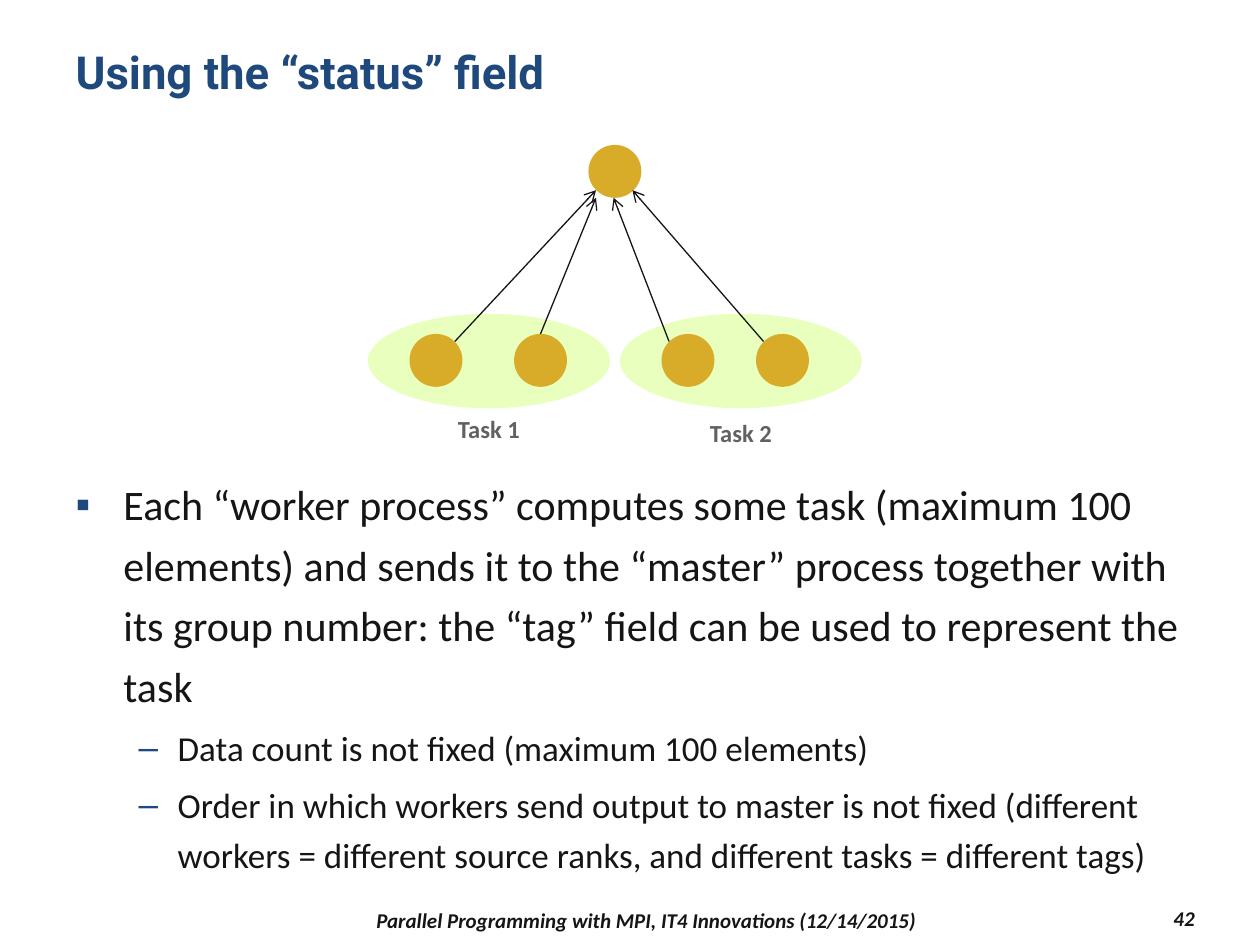
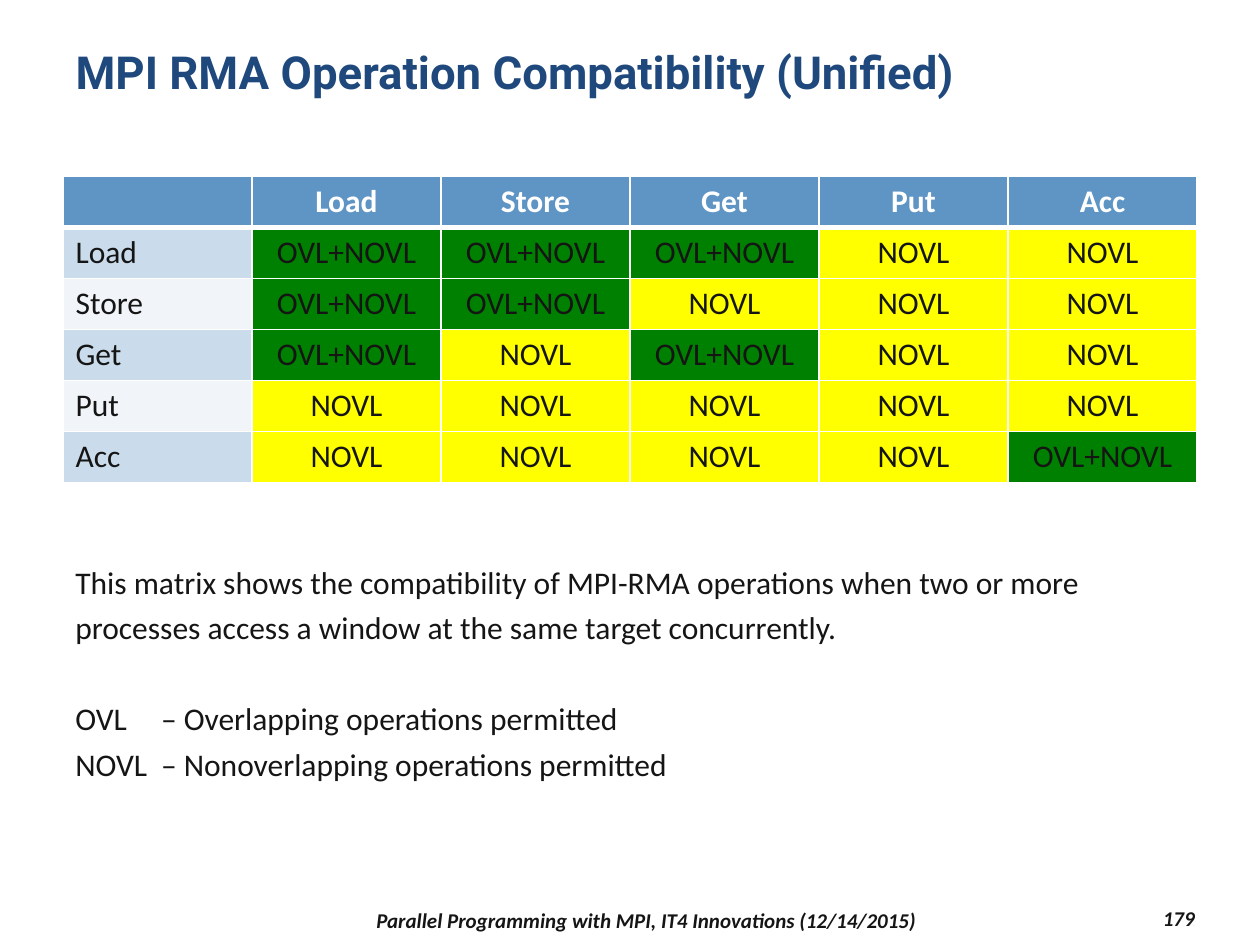
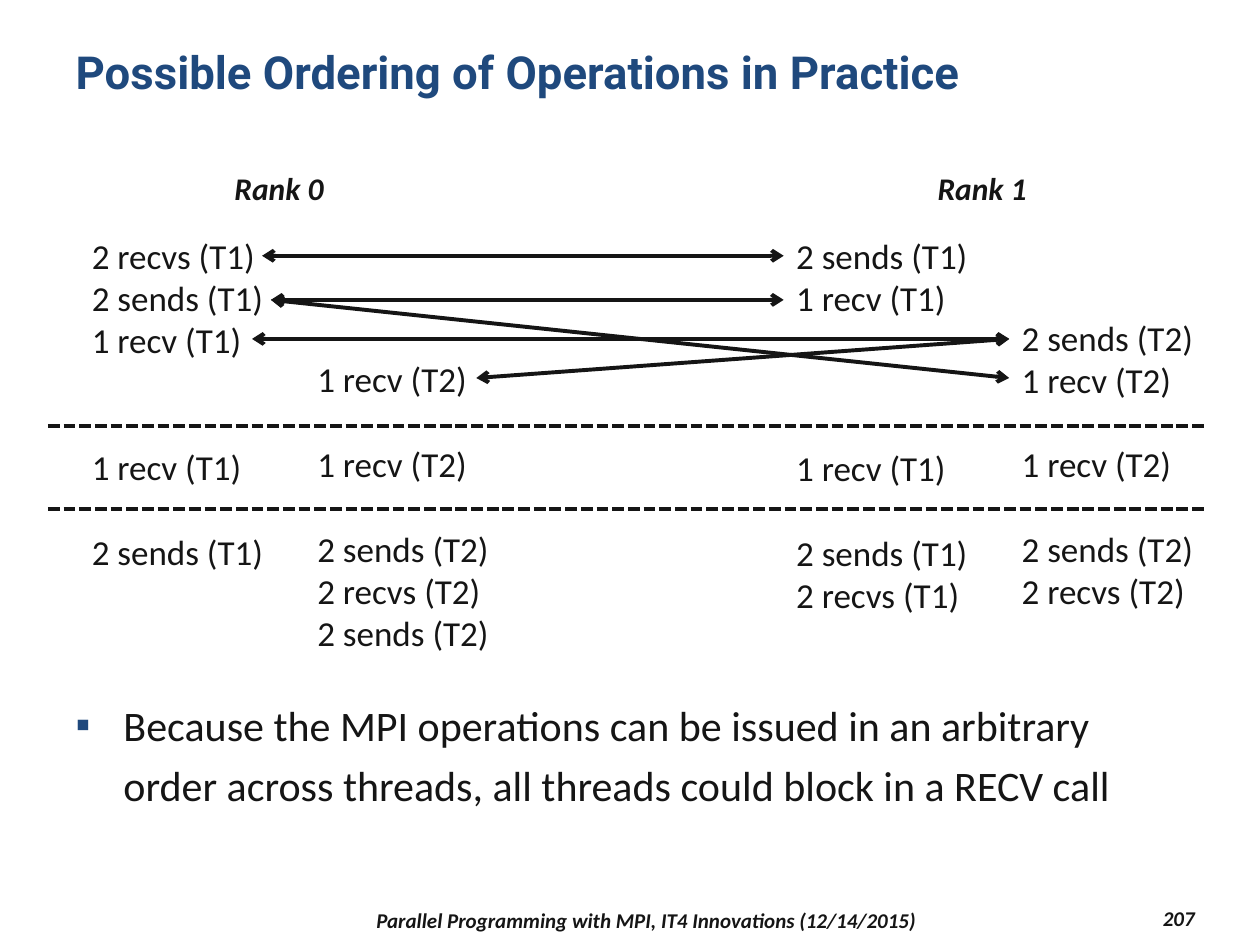
from lxml.etree import SubElement as Sub
from pptx import Presentation
from pptx.dml.color import RGBColor
from pptx.enum.dml import MSO_LINE as Dash
from pptx.enum.shapes import MSO_CONNECTOR as Conn, MSO_SHAPE as Geo
from pptx.enum.text import MSO_ANCHOR as Anchor, MSO_AUTO_SIZE as Auto, PP_ALIGN as Align
from pptx.oxml.ns import qn
from pptx.util import Inches, Pt

INK, NAVY, GRAY, WHITE = "151515", "1F497D", "616161", "FFFFFF"
GOLD, LIME = "D8AC28", "E9FFBE"
BLUE, PALE, MIST = "5F95C4", "CADCEB", "F1F5F9"
GREEN, YELLOW = "008000", "FFFF00"

HEAD = {"name": "Roboto", "size": Pt(26), "bold": True, "italic": False}
BASE = {"name": "Calibri", "size": Pt(18), "bold": False, "italic": False}
TAG = BASE | {"size": Pt(14), "bold": True}
RANK = BASE | {"bold": True, "italic": True}
FOOT = RANK | {"size": Pt(12)}
STEP = BASE | {"size": Pt(20)}
LEVELS = [
    {"size": 24, "left": 0.38, "hang": 0.38, "mark": "▪"},
    {"size": 20, "left": 0.81, "hang": 0.31, "mark": "–"},
]
NOTE = "Parallel Programming with MPI, IT4 Innovations (12/14/2015)"
OPS = ["Load", "Store", "Get", "Put", "Acc"]
OVERLAP = {
    ("Load", "Load"), ("Load", "Store"), ("Load", "Get"),
    ("Store", "Load"), ("Store", "Store"),
    ("Get", "Load"), ("Get", "Get"), ("Acc", "Acc"),
}


def rgb(code):
    return RGBColor.from_string(code)


def span(*vals):
    return [Inches(v) for v in vals]


def write(para, text, form, color=INK, align=Align.LEFT):
    para.alignment = align
    run = para.add_run()
    run.text = text
    for key, val in form.items():
        setattr(run.font, key, val)
    run.font.color.rgb = rgb(color)


def lines(frame, count):
    for num in range(count):
        yield frame.paragraphs[0] if num == 0 else frame.add_paragraph()


def area(slide, box, wrap=True, anchor=Anchor.TOP):
    frame = slide.shapes.add_textbox(*span(*box)).text_frame
    frame.word_wrap = wrap
    frame.vertical_anchor = anchor
    return frame


def label(slide, box, text, form, color=INK, align=Align.CENTER, anchor=Anchor.TOP):
    write(area(slide, box, anchor=anchor).paragraphs[0], text, form, color, align)


def place(shape, box):
    shape.left, shape.top, shape.width, shape.height = span(*box)
    frame = shape.text_frame
    frame.word_wrap = True
    frame.auto_size = Auto.NONE
    frame.vertical_anchor = Anchor.TOP
    return frame


def start(deck, layout, title, page):
    slide = deck.slides.add_slide(deck.slide_layouts[layout])
    frame = place(slide.shapes.title, (0.5, 0.3, 9, 0.87))
    write(frame.paragraphs[0], title, HEAD, NAVY)
    label(slide, (2.17, 7.17, 5.92, 0.27), NOTE, FOOT, anchor=Anchor.MIDDLE)
    label(slide, (8.5, 7.15, 1.08, 0.27), page, FOOT, align=Align.RIGHT, anchor=Anchor.MIDDLE)
    return slide


def points(slide, box, items):
    frame = place(slide.placeholders[1], box)
    for num, (para, (level, text)) in enumerate(zip(lines(frame, len(items)), items)):
        look = LEVELS[level]
        para.level = level
        para.line_spacing = 1.2
        para.space_before = Pt(look["size"] * 0.2 if num else 0)
        props = para._p.get_or_add_pPr()
        props.set("marL", str(Inches(look["left"])))
        props.set("indent", str(-Inches(look["hang"])))
        Sub(Sub(props, qn("a:buClr")), qn("a:srgbClr"), val=NAVY)
        Sub(props, qn("a:buFont"), typeface="Arial")
        Sub(props, qn("a:buChar"), char=look["mark"])
        write(para, text, BASE | {"size": Pt(look["size"])})


def oval(slide, box, color):
    shape = slide.shapes.add_shape(Geo.OVAL, *span(*box))
    shape.shadow.inherit = False
    shape.fill.solid()
    shape.fill.fore_color.rgb = rgb(color)
    shape.line.fill.background()


def link(slide, ends, width, tips=(), dash=None):
    wire = slide.shapes.add_connector(Conn.STRAIGHT, *span(*ends))
    wire.line.color.rgb = rgb(INK)
    wire.line.width = Pt(width)
    if dash:
        wire.line.dash_style = dash
    for tip in tips:
        Sub(wire.line._get_or_add_ln(), qn(f"a:{tip}End"), type="arrow")
    Sub(wire._element.spPr, qn("a:effectLst"))


def tree(slide, left, top):
    for num, drop in enumerate((2.09, 2.12)):
        side = left + 2 * num
        oval(slide, (side, top + 1.34, 1.92, 0.75), LIME)
        label(slide, (side + 0.25, top + drop, 1.42, 0.34), f"Task {num + 1}", TAG, GRAY)
    dots = [(1.75, 0), (0.33, 1.5), (1.16, 1.5), (2.33, 1.5), (3.08, 1.5)]
    for x, y in dots:
        oval(slide, (left + x, top + y, 0.42, 0.42), GOLD)
    arrows = [
        (0.69, 1.56, 1.81, 0.36), (1.37, 1.5, 1.81, 0.42),
        (2.39, 1.56, 1.95, 0.42), (3.14, 1.56, 2.1, 0.36),
    ]
    for x, y, end, tip in arrows:
        link(slide, (left + x, top + y, left + end, top + tip), 0.75, ["tail"])


def paint(cell, text, fill, above, below, form=BASE, color=INK, align=Align.CENTER):
    props = cell._tc.get_or_add_tcPr()
    for side, width in {"L": 1, "R": 1, "T": above, "B": below}.items():
        edge = Sub(props, qn(f"a:ln{side}"), w=str(Pt(width)))
        Sub(Sub(edge, qn("a:solidFill")), qn("a:srgbClr"), val=WHITE)
    cell.fill.solid()
    cell.fill.fore_color.rgb = rgb(fill)
    if text:
        write(cell.text_frame.paragraphs[0], text, form, color, align)


def matrix(slide, box):
    size = len(OPS) + 1
    grid = slide.shapes.add_table(size, size, *span(*box)).table
    grid.first_row = grid.horz_banding = False
    for col, name in enumerate([""] + OPS):
        paint(grid.cell(0, col), name, BLUE, 1, 3, BASE | {"bold": True}, WHITE)
    for row, name in enumerate(OPS, 1):
        above = 3 if row == 1 else 1
        paint(grid.cell(row, 0), name, PALE if row % 2 else MIST, above, 1, align=Align.LEFT)
        for col, other in enumerate(OPS, 1):
            both = (name, other) in OVERLAP
            text, fill = ("OVL+NOVL", GREEN) if both else ("NOVL", YELLOW)
            paint(grid.cell(row, col), text, fill, above, 1)


def legend(slide, box):
    items = [
        ("This matrix shows the compatibility of MPI-RMA operations when two or more "
         "processes access a window at the same target concurrently.", 0),
        ("OVL\t– Overlapping operations permitted", 26),
        ("NOVL\t– Nonoverlapping operations permitted", 0),
    ]
    frame = area(slide, box)
    for para, (text, gap) in zip(lines(frame, len(items)), items):
        para.line_spacing = 1.2
        para.space_before = Pt(gap)
        if "\t" in text:
            tabs = Sub(para._p.get_or_add_pPr(), qn("a:tabLst"))
            Sub(tabs, qn("a:tab"), pos=str(Inches(0.68)), algn="l")
        write(para, text, BASE)


def steps(slide, box, thread, items):
    frame = area(slide, box, wrap=False)
    frame.auto_size = Auto.SHAPE_TO_FIT_TEXT
    for para, (text, skip) in zip(lines(frame, len(items)), items):
        para.space_before = Pt(24.4 * skip)
        write(para, f"{text} ({thread})", STEP)


def order(slide, left, top):
    for num, x in enumerate((0.92, 6.5)):
        label(slide, (left + x, top, 1.83, 0.4), f"Rank {num}", RANK)
    lists = [
        (0.25, 0.52, 2.79, "T1", [("2 recvs", 0), ("2 sends", 0), ("1 recv", 0),
                                  ("1 recv", 2), ("2 sends", 1)]),
        (2.04, 1.5, 2.46, "T2", [("1 recv", 0), ("1 recv", 1), ("2 sends", 1),
                                 ("2 recvs", 0), ("2 sends", 0)]),
        (5.84, 0.52, 3.13, "T1", [("2 sends", 0), ("1 recv", 0), ("1 recv", 3),
                                  ("2 sends", 1), ("2 recvs", 0)]),
        (7.63, 1.17, 2.46, "T2", [("2 sends", 0), ("1 recv", 0), ("1 recv", 1),
                                  ("2 sends", 1), ("2 recvs", 0)]),
    ]
    for x, y, high, thread, items in lists:
        steps(slide, (left + x, top + y, 1.58, high), thread, items)
    for y in (2.09, 2.75):
        link(slide, (left, top + y, left + 9.2, top + y), 2.25, dash=Dash.SQUARE_DOT)
    pairs = [
        (1.7, 0.74, 5.84, 0.74), (1.77, 1.09, 7.63, 1.71), (1.77, 1.09, 5.84, 1.09),
        (1.62, 1.4, 7.63, 1.4), (3.4, 1.71, 7.63, 1.4),
    ]
    for x, y, end, tip in pairs:
        link(slide, (left + x, top + y, left + end, top + tip), 2.25, ["head", "tail"])


def main():
    deck = Presentation()
    deck.slide_width, deck.slide_height = span(10, 7.5)

    slide = start(deck, 1, "Using the “status” field", "42")
    tree(slide, 2.92, 1.15)
    points(slide, (0.5, 3.67, 9, 3.25), [
        (0, "Each “worker process” computes some task (maximum 100 elements) and sends it "
            "to the “master” process together with its group number: the “tag” field can "
            "be used to represent the task"),
        (1, "Data count is not fixed (maximum 100 elements)"),
        (1, "Order in which workers send output to master is not fixed (different workers "
            "= different source ranks, and different tasks = different tags)"),
    ])

    slide = start(deck, 5, "MPI RMA Operation Compatibility (Unified)", "179")
    matrix(slide, (0.5, 1.4, 9, 2.43))
    legend(slide, (0.5, 4.36, 9, 1.91))

    slide = start(deck, 1, "Possible Ordering of Operations in Practice", "207")
    order(slide, 0.38, 1.29)
    points(slide, (0.5, 5.42, 9, 1.5), [
        (0, "Because the MPI operations can be issued in an arbitrary order across threads, "
            "all threads could block in a RECV call"),
    ])

    deck.save("out.pptx")


if __name__ == "__main__":
    main()
